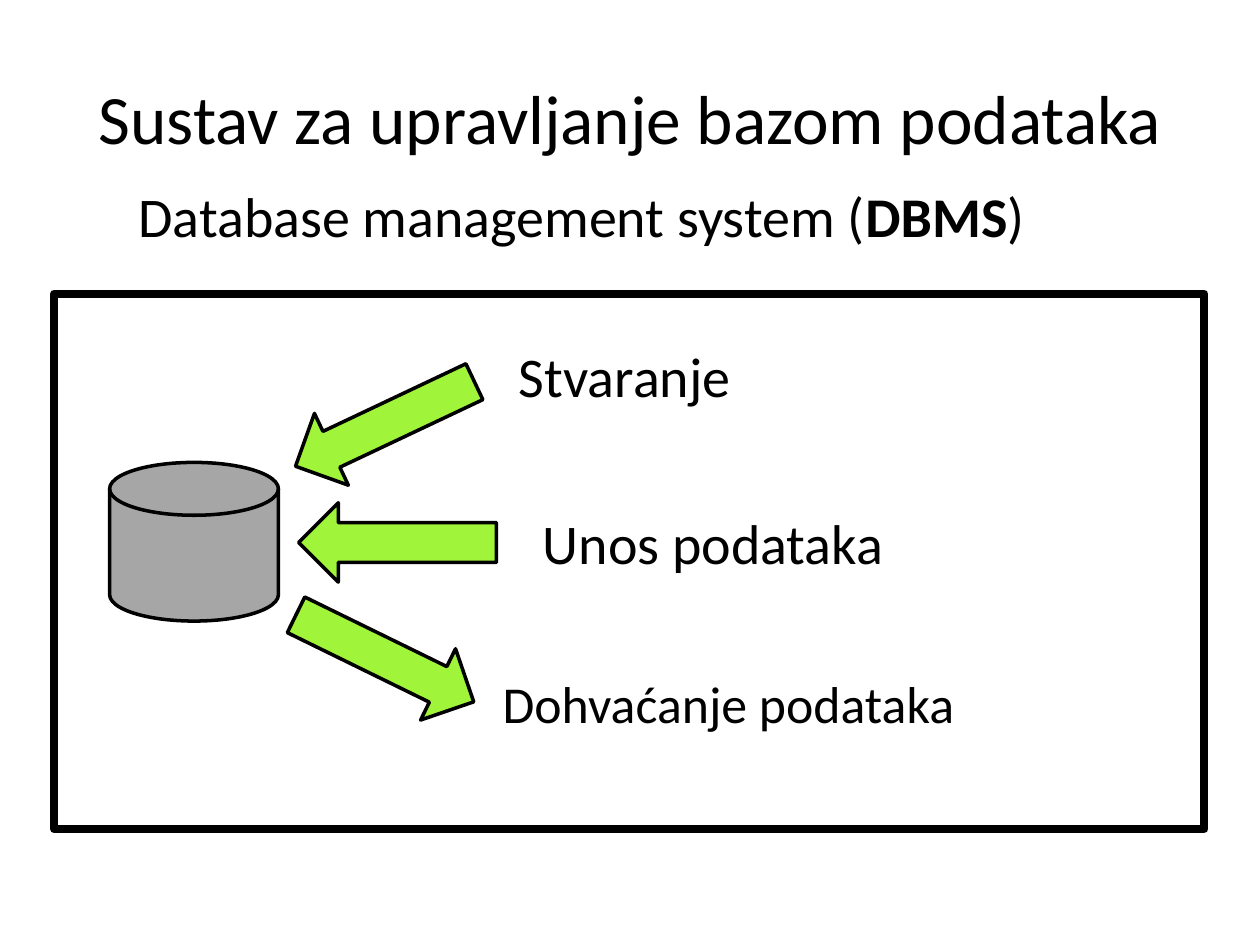
from dataclasses import dataclass

from pptx import Presentation
from pptx import util as u
from pptx.dml import color
from pptx.enum import shapes, text

COLORS = {"ink": "000000", "disk": "A6A6A6", "arrow": "A0F43A"}
FONT = "Calibri"
KIND = shapes.MSO_SHAPE


@dataclass
class Box:
    left: float
    top: float
    width: float
    height: float

    def spans(self) -> list:
        return [u.Inches(n) for n in (self.left, self.top, self.width, self.height)]


@dataclass
class Form:
    kind: int
    box: Box
    fill: str = ""
    line: float = 2
    turn: float = 0


@dataclass
class Label:
    box: Box
    runs: list
    size: float = 32


def rgb(name: str) -> color.RGBColor:
    return color.RGBColor.from_string(COLORS[name])


def write(frame, runs: list, size: float) -> None:
    frame.word_wrap = True
    frame.auto_size = text.MSO_AUTO_SIZE.NONE
    for words, bold in runs:
        run = frame.paragraphs[0].add_run()
        run.text = words
        run.font.name = FONT
        run.font.size = u.Pt(size)
        run.font.bold = bold
        run.font.color.rgb = rgb("ink")


def draw(slide, form: Form) -> None:
    shape = slide.shapes.add_shape(form.kind, *form.box.spans())
    shape.shadow.inherit = False
    shape.rotation = form.turn
    if form.fill:
        shape.fill.solid()
        shape.fill.fore_color.rgb = rgb(form.fill)
    else:
        shape.fill.background()
    shape.line.color.rgb = rgb("ink")
    shape.line.width = u.Pt(form.line)


def label(slide, item: Label) -> None:
    box = slide.shapes.add_textbox(*item.box.spans())
    write(box.text_frame, item.runs, item.size)


def arrow(left: float, top: float, turn: float) -> Form:
    return Form(KIND.RIGHT_ARROW, Box(left, top, 1.57, 0.63), "arrow", turn=turn)


FORMS = [
    Form(KIND.RECTANGLE, Box(0.43, 2.33, 9.13, 4.25), line=4.5),
    Form(KIND.FLOWCHART_MAGNETIC_DISK, Box(0.87, 3.67, 1.34, 1.26), "disk"),
    arrow(2.27, 3.05, 154.7),
    arrow(2.37, 3.99, 180),
    arrow(2.27, 4.91, 26.1),
]
LABELS = [
    Label(
        Box(1, 1.39, 9, 1.13),
        [("Database management system (", False), ("DBMS", True), (")", False)],
    ),
    Label(Box(4.02, 2.66, 3.07, 0.71), [("Stvaranje", False)]),
    Label(Box(4.21, 3.99, 3.07, 0.71), [("Unos podataka", False)]),
    Label(Box(3.89, 5.28, 3.94, 0.71), [("Dohvaćanje podataka", False)], 29.6),
]

deck = Presentation()
deck.slide_width, deck.slide_height = u.Inches(10), u.Inches(7.5)
slide = deck.slides.add_slide(deck.slide_layouts[5])

title = slide.shapes.title
title.left, title.top, title.width, title.height = Box(0.5, 0.3, 9, 1.25).spans()
write(title.text_frame, [("Sustav za upravljanje bazom podataka", False)], 39.6)
title.text_frame.vertical_anchor = text.MSO_ANCHOR.MIDDLE
title.text_frame.paragraphs[0].alignment = text.PP_ALIGN.CENTER

for form in FORMS:
    draw(slide, form)
for item in LABELS:
    label(slide, item)

deck.save("out.pptx")
